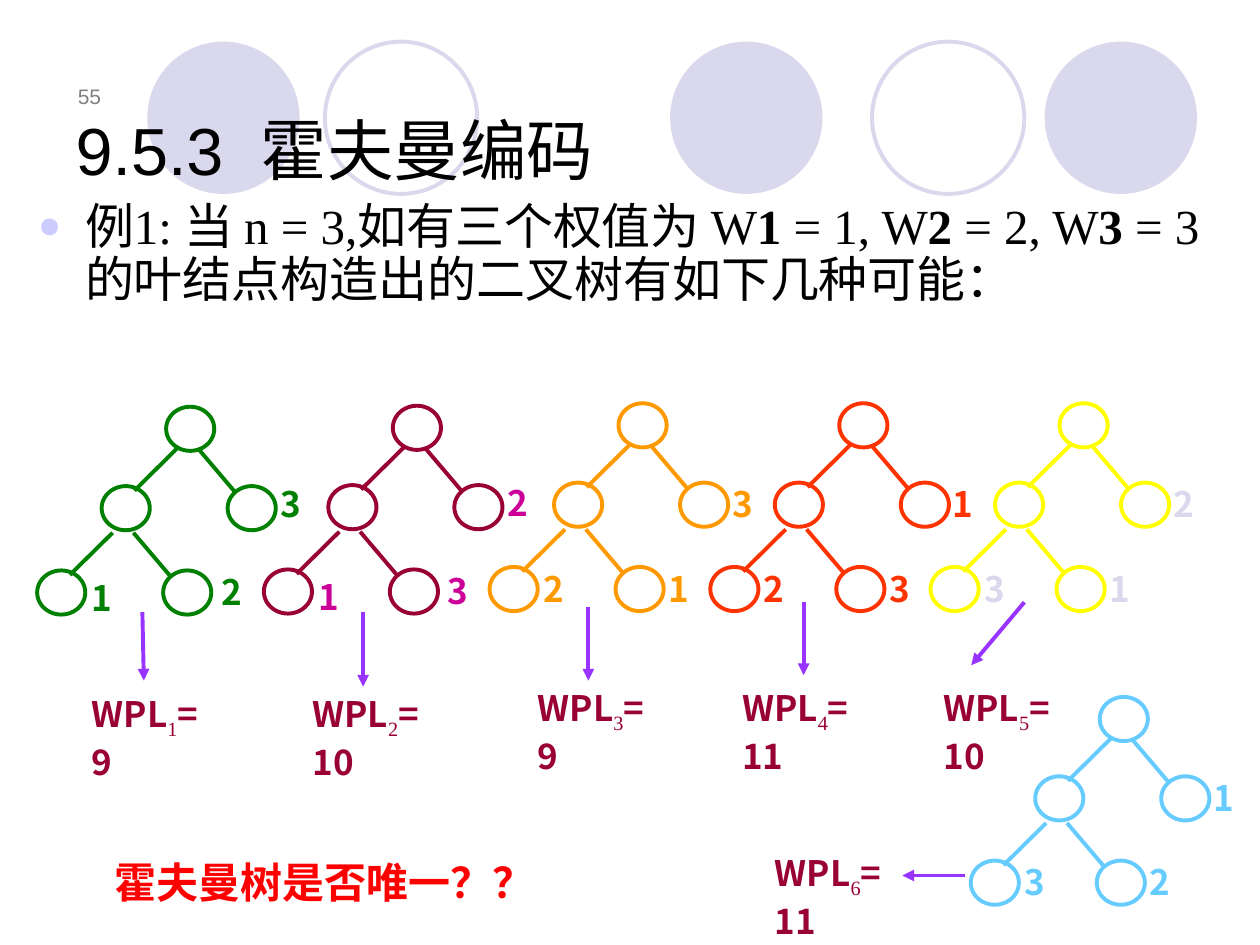
from lxml.etree import SubElement
from pptx import Presentation
from pptx.dml.color import RGBColor
from pptx.enum.shapes import MSO_CONNECTOR, MSO_SHAPE
from pptx.enum.text import MSO_ANCHOR, MSO_AUTO_SIZE, PP_ALIGN
from pptx.oxml.ns import qn
from pptx.util import Cm, Pt

BLACK = RGBColor(0x00, 0x00, 0x00)
GRAY = RGBColor(0x80, 0x80, 0x80)
LAVENDER = RGBColor(0xD9, 0xD8, 0xEC)
GREEN = RGBColor(0x00, 0x80, 0x00)
MAROON = RGBColor(0x99, 0x00, 0x33)
MAGENTA = RGBColor(0xCC, 0x00, 0x99)
ORANGE = RGBColor(0xFF, 0x99, 0x00)
VERMILION = RGBColor(0xFF, 0x33, 0x00)
YELLOW = RGBColor(0xFF, 0xFF, 0x00)
SKY = RGBColor(0x66, 0xCC, 0xFF)
PURPLE = RGBColor(0x99, 0x33, 0xFF)
RED = RGBColor(0xFF, 0x00, 0x00)

SANS = "Noto Sans CJK SC"
SERIF = "Times New Roman"
TITLE = {"name": "Arial", "size": Pt(38)}
BODY = {"name": SERIF, "size": Pt(28), "bold": False}
NUMBER = {"name": "Arial", "size": Pt(12)}
LABEL = {"name": SANS, "size": Pt(20), "bold": True}
SUBSCRIPT = {"name": SERIF, "size": Pt(20), "bold": False}
QUESTION = {"name": SERIF, "size": Pt(24), "bold": True}

NODE_SIZE = (0.97, 0.89)
NODES = [(0, 0), (-1.3, 1.6), (1.24, 1.6), (-2.6, 3.3), (-0.06, 3.3)]
BRANCHES = [((0.22, 0.84), (-0.64, 1.69)), ((0.64, 0.84), (1.38, 1.71))]
SUBTREES = [(0, 0), (-1.3, 1.7)]
LOW_LABELS = [(-1.75, 3.3), (0.86, 3.18), (2.06, 1.4)]
HIGH_LABELS = [(-1.77, 3.18), (0.76, 3.18), (2.04, 1.47)]

# Each tree: root, line colour, weight colour, weights (left, middle, right), offsets
TREES = [
    ((3.35, 8.2), GREEN, GREEN, "123", LOW_LABELS),
    ((7.92, 8.18), MAROON, MAGENTA, "132", LOW_LABELS),
    ((12.47, 8.13), ORANGE, ORANGE, "213", HIGH_LABELS),
    ((16.92, 8.13), VERMILION, VERMILION, "231", HIGH_LABELS),
    ((21.36, 8.13), YELLOW, LAVENDER, "312", HIGH_LABELS),
    ((22.17, 14.05), SKY, SKY, "321", HIGH_LABELS),
]
PATH_LENGTHS = [
    ((1.6, 13.84), 2.74, "9", (2.87, 12.34), (2.9, 13.72)),
    ((6.05, 13.84), 2.97, "10", (7.32, 12.34), (7.32, 13.84)),
    ((10.59, 13.72), 2.97, "9", (11.86, 12.24), (11.86, 13.72)),
    ((14.71, 13.72), 2.97, "11", (16.2, 12.14), (16.2, 13.61)),
    ((18.77, 13.72), 2.97, "10", (20.65, 12.14), (19.58, 13.41)),
    ((15.37, 17.04), 2.97, "11", (19.46, 17.65), (18.19, 17.65)),
]


def set_all(target, values):
    """Set every attribute named in a dict."""
    for name, value in values.items():
        setattr(target, name, value)


def place(shape, left, top, width, height):
    """Move and size a shape in centimetres."""
    set_all(shape, {"left": Cm(left), "top": Cm(top), "width": Cm(width), "height": Cm(height)})


def add_span(para, text, style, color):
    """Add a formatted run and return it."""
    span = para.add_run()
    span.text = text
    set_all(span.font, style)
    span.font.color.rgb = color
    SubElement(span.font._element, qn("a:ea"), typeface=SANS)
    return span


def add_box(shapes, left, top, width, height, wrap=True):
    """Add a text box that grows with its text and return its paragraph."""
    box = shapes.add_textbox(Cm(left), Cm(top), Cm(width), Cm(height))
    set_all(box.text_frame, {"word_wrap": wrap, "auto_size": MSO_AUTO_SIZE.SHAPE_TO_FIT_TEXT})
    return box.text_frame.paragraphs[0]


def add_circle(shapes, left, top, size, color, filled=False):
    """Add a filled or outlined ellipse."""
    circle = shapes.add_shape(MSO_SHAPE.OVAL, Cm(left), Cm(top), Cm(size[0]), Cm(size[1]))
    circle.shadow.inherit = False
    if filled:
        circle.fill.solid()
        circle.fill.fore_color.rgb = color
        circle.line.fill.background()
    else:
        circle.fill.background()
        circle.line.color.rgb = color
        circle.line.width = Pt(2.25)


def add_line(shapes, start, end, color, arrow=False):
    """Add a straight connector, with an arrowhead at its end if wanted."""
    points = [Cm(value) for value in (*start, *end)]
    line = shapes.add_connector(MSO_CONNECTOR.STRAIGHT, *points)
    line.line.color.rgb = color
    line.line.width = Pt(2.25)
    if arrow:
        SubElement(line.line._get_or_add_ln(), qn("a:tailEnd"), type="triangle")
    SubElement(line._element.spPr, qn("a:effectLst"))


def add_tree(page, root, color, weight_color, weights, offsets):
    """Draw one grouped binary tree with its three leaf weights."""
    shapes = page.shapes.add_group_shape().shapes
    x, y = root
    for dx, dy in NODES:
        add_circle(shapes, x + dx, y + dy, NODE_SIZE, color)
    for dx, dy in SUBTREES:
        for ends in BRANCHES:
            start, end = [(x + dx + px, y + dy + py) for px, py in ends]
            add_line(shapes, start, end, color)
    for weight, (dx, dy) in zip(weights, offsets):
        para = add_box(shapes, x + dx, y + dy, 1.27, 1.09)
        add_span(para, weight, LABEL, weight_color)


def add_path_length(page, index, spot, width, value, start, end):
    """Write one weighted path length with the arrow leading to it."""
    add_line(page.shapes, start, end, PURPLE, arrow=True)
    para = add_box(page.shapes, *spot, width, 1.09)
    add_span(para, "WPL", LABEL, MAROON)
    span = add_span(para, str(index), SUBSCRIPT, MAROON)
    span.font._element.set("baseline", "-25000")
    add_span(para, f"={value}", LABEL, MAROON)


def add_backdrop(page):
    """Draw the row of decorative circles."""
    for left, filled in ((13.51, True), (21.06, True), (2.97, True), (17.58, False), (6.55, False)):
        add_circle(page.shapes, left, 0.84, (3.07, 3.07), LAVENDER, filled)


def fill_title(title):
    """Place and write the title."""
    place(title, 1.27, 0.76, 22.86, 3.18)
    set_all(title.text_frame, {"vertical_anchor": MSO_ANCHOR.BOTTOM, "auto_size": MSO_AUTO_SIZE.NONE})
    para = title.text_frame.paragraphs[0]
    para.alignment = PP_ALIGN.LEFT
    add_span(para, "9.5.3  霍夫曼编码", TITLE, BLACK)


def fill_body(body):
    """Place and write the bulleted example."""
    place(body, 0.51, 3.94, 24, 3.81)
    body.text_frame.auto_size = MSO_AUTO_SIZE.NONE
    para = body.text_frame.paragraphs[0]
    set_all(para, {"line_spacing": 0.9, "space_before": Pt(5.6)})
    props = para._p.get_or_add_pPr()
    props.set("marL", str(Cm(0.95)))
    props.set("indent", str(Cm(-0.95)))
    SubElement(SubElement(props, qn("a:buClr")), qn("a:srgbClr"), val="CCCCFF")
    SubElement(props, qn("a:buSzPct"), val="80000")
    SubElement(props, qn("a:buFont"), typeface="Arial")
    SubElement(props, qn("a:buChar"), char="●")
    parts = ["例1: 当 n = 3,如有三个权值为 W", "1", " = 1, W", "2", " = 2, W", "3",
             " = 3 的叶结点构造出的二叉树有如下几种可能："]
    for position, text in enumerate(parts):
        add_span(para, text, BODY | {"bold": position % 2 == 1}, BLACK)


def add_page_number(page):
    """Write the page number above the title."""
    box = page.shapes.add_textbox(Cm(0.89), Cm(1.12), Cm(1.4), Cm(1.19))
    set_all(box.text_frame, {"word_wrap": True, "vertical_anchor": MSO_ANCHOR.BOTTOM})
    para = box.text_frame.paragraphs[0]
    para.alignment = PP_ALIGN.RIGHT
    add_span(para, "55", NUMBER, GRAY)


def main():
    """Build the slide and save it."""
    deck = Presentation()
    set_all(deck, {"slide_width": Cm(25.4), "slide_height": Cm(19.05)})
    page = deck.slides.add_slide(deck.slide_layouts[1])
    title, body = page.placeholders
    add_backdrop(page)
    add_page_number(page)
    fill_title(title)
    fill_body(body)
    for holder in (title, body):
        page.shapes._spTree.append(holder._element)
    for tree in TREES:
        add_tree(page, *tree)
    for index, entry in enumerate(PATH_LENGTHS, 1):
        add_path_length(page, index, *entry)
    para = add_box(page.shapes, 2.06, 17.15, 8.97, 1.27, wrap=False)
    add_span(para, "霍夫曼树是否唯一？？", QUESTION, RED)
    deck.save("out.pptx")


if __name__ == "__main__":
    main()
